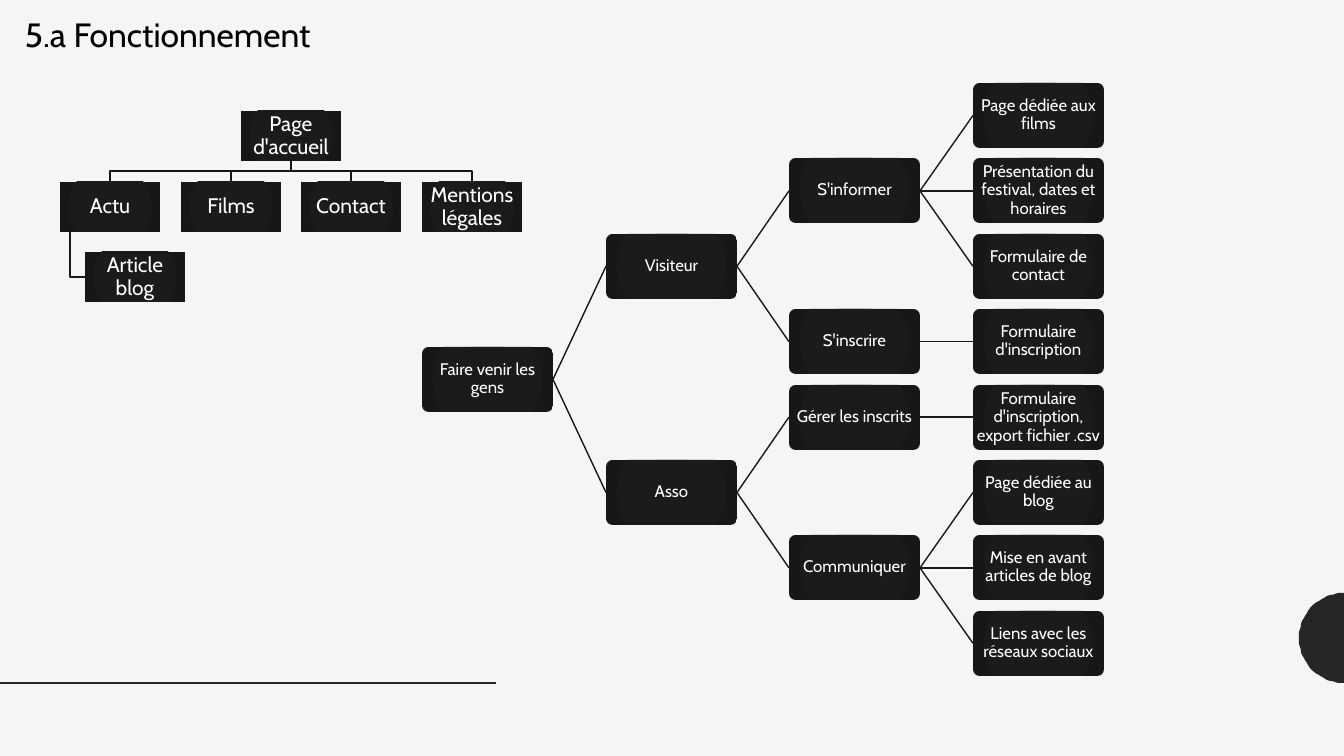
import math

from lxml import etree
from pptx import Presentation
from pptx.dml.color import RGBColor
from pptx.enum.shapes import MSO_CONNECTOR, MSO_SHAPE
from pptx.enum.text import MSO_ANCHOR, MSO_AUTO_SIZE, PP_ALIGN
from pptx.oxml import parse_xml
from pptx.oxml.ns import nsdecls, qn
from pptx.util import Pt

PX = 914400 / 100.8
FONT = "Cabin"
BACKGROUND, ACCENT, BLACK, WHITE = "F5F5F5", "262626", "000000", "FFFFFF"
UPPER_LINK, LOWER_LINK = "171517", "1A181A"
NODE_STOPS = ((0, "1E1A1E"), (50, "1D1A1D"), (100, "191619"))

RECTANGLE, ROUNDED = MSO_SHAPE.RECTANGLE, MSO_SHAPE.ROUNDED_RECTANGLE
STRAIGHT = MSO_CONNECTOR.STRAIGHT
CENTER, MIDDLE = PP_ALIGN.CENTER, MSO_ANCHOR.MIDDLE
GROW = MSO_AUTO_SIZE.SHAPE_TO_FIT_TEXT

# Goal tree: columns, and rows counted in leaves
COLUMN_LEFTS = (422, 606, 789, 973)
FIRST_ROW_TOP, ROW_STEP = 83, 75.4
GOAL_WIDTH, GOAL_HEIGHT = 131, 65
GOALS = ("Faire venir les gens", [
    ("Visiteur", [
        ("S'informer", [
            ("Page dédiée aux films", []),
            ("Présentation du festival, dates et horaires", []),
            ("Formulaire de contact", []),
        ]),
        ("S'inscrire", [("Formulaire d'inscription", [])]),
    ]),
    ("Asso", [
        ("Gérer les inscrits", [
            ("Formulaire d'inscription, export fichier .csv", []),
        ]),
        ("Communiquer", [
            ("Page dédiée au blog", []),
            ("Mise en avant articles de blog", []),
            ("Liens avec les réseaux sociaux", []),
        ]),
    ]),
])

# Site map
SITE_WIDTH, SITE_HEIGHT = 100, 50
HOME_LEFT, HOME_TOP = 241, 111
SECTIONS = ("Actu", "Films", "Contact", "Mentions légales")
SECTION_LEFT, SECTION_STEP, SECTION_TOP = 60, 120.6, 182
ARTICLE_LEFT, ARTICLE_TOP = 85, 252


def px(length):
    return round(length * PX)


def color(value):
    return RGBColor.from_string(value)


def apply(target, values):
    for name, value in values.items():
        setattr(target, name, value)


def write(shape, text, size, ink, frame_format, para_format):
    frame = shape.text_frame
    apply(frame, frame_format)
    para = frame.paragraphs[0]
    apply(para, para_format)
    span = para.add_run()
    span.text = text
    apply(span.font, {"name": FONT, "size": Pt(size)})
    span.font.color.rgb = color(ink)


def fill_node(shape):
    stops = "".join(
        f'<a:gs pos="{percent * 1000}"><a:srgbClr val="{value}"/></a:gs>'
        for percent, value in NODE_STOPS)
    gradient = parse_xml(
        f'<a:gradFill {nsdecls("a")} rotWithShape="1"><a:gsLst>{stops}</a:gsLst>'
        '<a:path path="circle"><a:fillToRect l="100000" t="100000" '
        'r="100000" b="100000"/></a:path></a:gradFill>')
    shape.fill.gradient()
    properties = shape._element.spPr
    properties.replace(properties.find(qn("a:gradFill")), gradient)


def add_node(shapes, kind, box, text, size):
    node = shapes.add_shape(kind, *map(px, box))
    node.shadow.inherit = False
    node.line.fill.background()
    fill_node(node)
    if kind == ROUNDED:
        node.adjustments[0] = 0.1
    margins = {f"margin_{side}": px(1)
               for side in ("left", "top", "right", "bottom")}
    write(node, text, size, WHITE,
          {"word_wrap": True, "vertical_anchor": MIDDLE, **margins},
          {"alignment": CENTER, "line_spacing": 0.9})


def add_line(shapes, start, end, ink, width):
    line = shapes.add_connector(STRAIGHT, *map(px, (*start, *end)))
    line.line.color.rgb = color(ink)
    line.line.width = Pt(width)
    etree.SubElement(line._element.spPr, qn("a:effectLst"))


def add_outline(shapes, points, closed):
    builder = shapes.build_freeform(*points[0], scale=PX)
    builder.add_line_segments(points[1:], close=closed)
    outline = builder.convert_to_shape()
    outline.shadow.inherit = False
    return outline


def add_elbow(shapes, points, ink):
    elbow = add_outline(shapes, points, False)
    elbow.fill.background()
    elbow.line.color.rgb = color(ink)
    elbow.line.width = Pt(1)


def add_half_disc(shapes, center_x, center_y, radius):
    angles = [math.pi * (0.5 + step / 48) for step in range(49)]
    points = [(round(center_x + radius * math.cos(angle), 2),
               round(center_y + radius * math.sin(angle), 2))
              for angle in angles]
    disc = add_outline(shapes, points, True)
    disc.fill.solid()
    disc.fill.fore_color.rgb = color(ACCENT)
    disc.line.fill.background()


def add_title(shapes, box, text):
    title = shapes.add_textbox(*map(px, box))
    write(title, text, 24, BLACK, {"word_wrap": True, "auto_size": GROW}, {})


def add_goal(shapes, goal, level, first_row):
    """Draw a goal and its branches; return its row and its leaf count."""
    text, children = goal
    child_rows, leaves = [], 0
    for child in children:
        row, count = add_goal(shapes, child, level + 1, first_row + leaves)
        child_rows.append(row)
        leaves += count
    row = (child_rows[0] + child_rows[-1]) / 2 if children else first_row

    left, top = COLUMN_LEFTS[level], round(FIRST_ROW_TOP + ROW_STEP * row)
    middle = FIRST_ROW_TOP + GOAL_HEIGHT / 2
    ink = LOWER_LINK if level else UPPER_LINK
    for child_row in child_rows:
        add_line(shapes, (left + GOAL_WIDTH, middle + ROW_STEP * row),
                 (COLUMN_LEFTS[level + 1], middle + ROW_STEP * child_row), ink, 1)
    add_node(shapes, ROUNDED, (left, top, GOAL_WIDTH, GOAL_HEIGHT), text, 12)
    return row, max(leaves, 1)


def add_site_map(shapes):
    size = (SITE_WIDTH, SITE_HEIGHT)
    half = SITE_WIDTH // 2
    home_x, home_bottom = HOME_LEFT + half, HOME_TOP + SITE_HEIGHT
    bus_y = (home_bottom + SECTION_TOP) // 2
    nodes = [("Page d'accueil", HOME_LEFT, HOME_TOP),
             ("Article blog", ARTICLE_LEFT, ARTICLE_TOP)]
    for index, section in enumerate(SECTIONS):
        left = SECTION_LEFT + round(index * SECTION_STEP)
        nodes.append((section, left, SECTION_TOP))
        add_elbow(shapes, [(home_x, home_bottom), (home_x, bus_y),
                           (left + half, bus_y), (left + half, SECTION_TOP)],
                  UPPER_LINK)
    drop_x, article_y = SECTION_LEFT + 10, ARTICLE_TOP + SITE_HEIGHT // 2
    add_elbow(shapes, [(drop_x, SECTION_TOP + SITE_HEIGHT),
                       (drop_x, article_y), (ARTICLE_LEFT, article_y)], LOWER_LINK)
    for text, left, top in nodes:
        add_node(shapes, RECTANGLE, (left, top, *size), text, 15)


def main():
    deck = Presentation()
    deck.slide_width, deck.slide_height = px(1344), px(756)
    page = deck.slides.add_slide(deck.slide_layouts[6])
    page.background.fill.solid()
    page.background.fill.fore_color.rgb = color(BACKGROUND)

    # Decoration and title
    add_half_disc(page.shapes, 1344, 638, 45)
    add_line(page.shapes, (0, 683), (496, 683), ACCENT, 2)
    add_title(page.shapes, (15, 9, 663, 50), "5.a Fonctionnement")

    # Diagrams
    add_goal(page.shapes.add_group_shape().shapes, GOALS, 0, 0)
    add_site_map(page.shapes.add_group_shape().shapes)
    deck.save("out.pptx")


if __name__ == "__main__":
    main()
